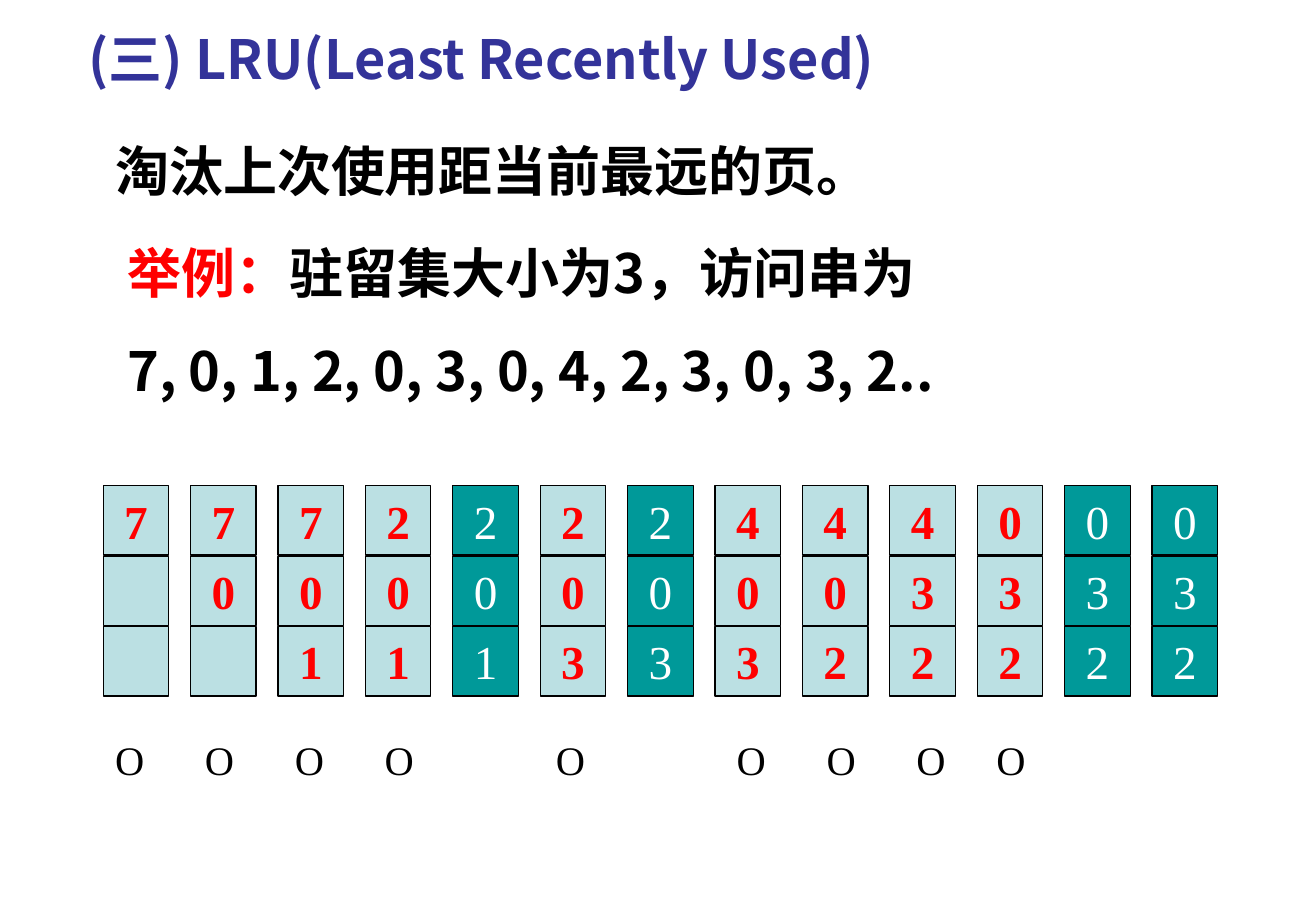
from lxml.etree import SubElement
from pptx import Presentation
from pptx.dml.color import RGBColor
from pptx.enum.shapes import MSO_SHAPE
from pptx.enum.text import MSO_ANCHOR, PP_ALIGN
from pptx.oxml.ns import qn
from pptx.util import Inches, Pt

COLORS = {"title": "333399", "ink": "000000", "red": "FF0000",
          "white": "FFFFFF", "pale": "BBE0E3", "teal": "009999"}
SANS, SERIF = "Noto Sans CJK SC", "Times New Roman"
FRAMES = ["7", "70", "701", "201", "201", "203", "203",
          "403", "402", "432", "032", "032", "032"]
HITS = {4, 6, 11, 12}
LEFT, TOP, STEP, ROW = 0.85, 4, 0.72, 0.58
TABS = [0.74, 1.48, 2.22, 3.63, 5.12, 5.86, 6.6, 7.26]


def paint(name):
    """Return the named colour."""
    return RGBColor.from_string(COLORS[name])


def style(para, face, size, color, bold=False):
    """Set the font of a paragraph for Latin and Chinese text."""
    font = para.font
    font.name, font.size, font.bold = face, Pt(size), bold
    font.color.rgb = paint(color)
    base = para._p.pPr.find(qn("a:defRPr"))
    SubElement(base, qn("a:ea")).set("typeface", face)


def add_text(slide, box, lines, face, size, color, bold=False, gap=0, tabs=()):
    """Add a text box whose lines are lists of (text, colour) runs."""
    frame = slide.shapes.add_textbox(*map(Inches, box)).text_frame
    frame.word_wrap = True
    for index, line in enumerate(lines):
        para = frame.add_paragraph() if index else frame.paragraphs[0]
        if index:
            para.space_before = Pt(gap)
        if tabs:
            stops = SubElement(para._p.get_or_add_pPr(), qn("a:tabLst"))
            for stop in tabs:
                tab = SubElement(stops, qn("a:tab"))
                tab.set("pos", str(Inches(stop)))
                tab.set("algn", "l")
        style(para, face, size, color, bold)
        for text, tint in line:
            run = para.add_run()
            run.text = text
            if tint != color:
                run.font.color.rgb = paint(tint)


def add_cell(slide, col, row, page, hit):
    """Add one page frame of the memory grid."""
    cell = slide.shapes.add_shape(
        MSO_SHAPE.RECTANGLE, Inches(LEFT + col * STEP),
        Inches(TOP + row * ROW), Inches(0.54), Inches(0.57))
    cell.shadow.inherit = False
    cell.fill.solid()
    cell.fill.fore_color.rgb = paint("teal" if hit else "pale")
    cell.line.color.rgb = paint("ink")
    cell.line.width = Pt(0.75)
    if page:
        frame = cell.text_frame
        frame.vertical_anchor = MSO_ANCHOR.TOP
        para = frame.paragraphs[0]
        para.alignment = PP_ALIGN.CENTER
        style(para, SERIF, 28, "white" if hit else "red", not hit)
        para.add_run().text = page


def main():
    """Build the slide on LRU page replacement."""
    deck = Presentation()
    deck.slide_width, deck.slide_height = Inches(10.84), Inches(7.5)
    slide = deck.slides.add_slide(deck.slide_layouts[6])
    add_text(slide, (0.63, 0.16, 9.39, 0.64),
             [[("(三) LRU(Least Recently Used)", "title")]],
             SANS, 32, "title", True)
    add_text(slide, (0.85, 1.08, 7.31, 0.64),
             [[("淘汰上次使用距当前最远的页。", "ink")]],
             SANS, 32, "ink", True)
    add_text(slide, (0.95, 1.92, 9.48, 1.98),
             [[("举例：", "red"), ("驻留集大小为3，访问串为", "ink")],
              [("7, 0, 1, 2, 0, 3, 0, 4, 2, 3, 0, 3, 2..", "ink")]],
             SANS, 32, "ink", True, gap=20)
    for col, pages in enumerate(FRAMES):
        for row, page in enumerate(pages.ljust(3)):
            add_cell(slide, col, row, page.strip(), col in HITS)
    add_text(slide, (0.85, 6, 9.39, 0.5),
             [[("\t".join("O" * 9), "ink")]], SERIF, 24, "ink", tabs=TABS)
    deck.save("out.pptx")


if __name__ == "__main__":
    main()
